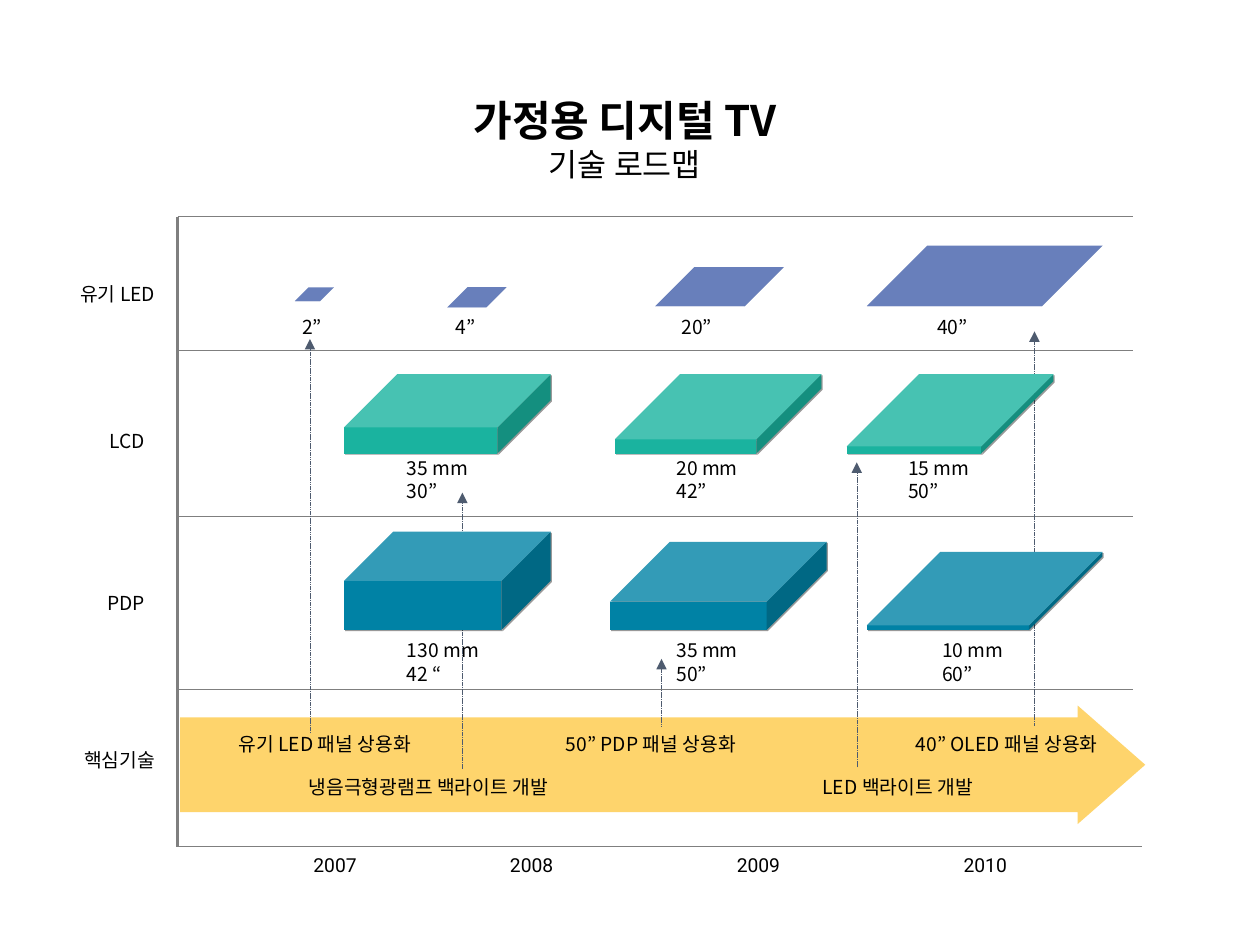
from dataclasses import dataclass
from lxml import etree
from pptx import Presentation
from pptx import util as u
from pptx.dml.color import RGBColor
from pptx.enum import dml, shapes, text
from pptx.oxml import ns


@dataclass(frozen=True)
class Theme:
    """Colours, fonts and type sizes of the roadmap."""
    ink: str = "000000"
    rule: str = "7F7F7F"
    link: str = "4E5B6F"
    oled: str = "435FAA"
    lcd: str = "1AB39F"
    pdp: str = "0082A5"
    band: str = "FED46C"
    font: str = "Noto Sans CJK KR"
    digits: str = "Roboto"
    title: int = 24
    subtitle: int = 18
    body: int = 11


@dataclass(frozen=True)
class Box:
    """A region in inches, able to hand out boxes placed relative to itself."""
    x: float
    y: float
    w: float
    h: float

    def inner(self, x, y, w, h):
        """Return a box offset from this one's top left corner."""
        return Box(self.x + x, self.y + y, w, h)

    def emu(self):
        """Return left, top, width and height as lengths."""
        return [u.Inches(v) for v in (self.x, self.y, self.w, self.h)]


T = Theme()
ALIGN = text.PP_ALIGN
LANE_EDGES = [1.72, 2.78, 4.1, 5.47, 6.72]
LEFT, WIDTH = 1.41, 7.58
YEARS = [("2007", 0.9), ("2008", 2.46), ("2009", 4.26), ("2010", 6.06)]
LABELS = [
    ("유기 LED", -1.1, 0.47, 1.02),
    ("LCD", -0.94, 0.58, 0.78),
    ("PDP", -0.86, 0.54, 0.7),
    ("핵심기술", -1.02, 0.42, 0.94),
]
CAPTIONS = [
    (0.73, 0.29, [(0.89, ["2”"]), (2.11, ["4”"]), (3.9, ["20”"]), (5.93, ["40”"])]),
    (0.79, 0.47, [(1.72, ["35 mm", "30”"]), (3.86, ["20 mm", "42”"]), (5.7, ["15 mm", "50”"])]),
    (0.92, 0.47, [(1.72, ["130 mm", "42 “"]), (3.86, ["35 mm", "50”"]), (5.97, ["10 mm", "60”"])]),
]
PANELS = [
    (T.oled, False, [(0.93, 0.56, 0.31, 0.11, 1), (2.14, 0.56, 0.47, 0.16, 1),
                     (3.79, 0.4, 1.02, 0.31, 1), (5.47, 0.23, 1.87, 0.48, 1)]),
    (T.lcd, True, [(1.32, 0.19, 1.64, 0.63, 0.67), (3.47, 0.19, 1.64, 0.63, 0.82),
                   (5.31, 0.19, 1.64, 0.63, 0.91)]),
    (T.pdp, True, [(1.32, 0.12, 1.64, 0.78, 0.5), (3.43, 0.2, 1.72, 0.7, 0.68),
                   (5.47, 0.28, 1.87, 0.62, 0.94)]),
]
MILESTONES = [
    ("유기 LED 패널 상용화", 0.15, 0.29, 1.8),
    ("50” PDP 패널 상용화", 2.81, 0.29, 1.72),
    ("40” OLED 패널 상용화", 5.52, 0.29, 1.88),
    ("냉음극형광램프 백라이트 개발", 0.23, 0.63, 2.81),
    ("LED 백라이트 개발", 4.53, 0.63, 1.88),
]
LINKS = [(1.05, 0.35, -2.78), (2.26, 0.63, -1.56), (3.84, 0.3, -0.24),
         (6.8, 0.29, -2.84), (5.39, 0.62, -1.8)]


def add_run(p, words, size, font=T.font, bold=False):
    """Append one formatted run to a paragraph."""
    r = p.add_run()
    r.text = words
    r.font.size, r.font.bold, r.font.name = u.Pt(size), bold, font
    r.font.color.rgb = RGBColor.from_string(T.ink)
    east = etree.SubElement(r.font._element, ns.qn("a:ea"))
    east.set("typeface", T.font)


def add_text(s, box, lines, align=ALIGN.LEFT, font=T.font):
    """Place a wrapped text box with one paragraph per line."""
    tf = s.shapes.add_textbox(*box.emu()).text_frame
    tf.word_wrap = True
    tf.auto_size = text.MSO_AUTO_SIZE.SHAPE_TO_FIT_TEXT
    for i, line in enumerate(lines):
        p = tf.add_paragraph() if i else tf.paragraphs[0]
        p.alignment = align
        add_run(p, line, T.body, font)


def add_shape(s, kind, box, color, adjustments):
    """Place a flat, borderless preset shape."""
    sp = s.shapes.add_shape(kind, *box.emu())
    sp.shadow.inherit = False
    sp.fill.solid()
    sp.fill.fore_color.rgb = RGBColor.from_string(color)
    sp.line.fill.background()
    for i, value in enumerate(adjustments):
        sp.adjustments[i] = value
    return sp


def add_line(s, x1, y1, x2, y2, color, weight):
    """Draw a straight connector without a shadow."""
    ends = [u.Inches(v) for v in (x1, y1, x2, y2)]
    line = s.shapes.add_connector(shapes.MSO_CONNECTOR.STRAIGHT, *ends)
    line.line.color.rgb = RGBColor.from_string(color)
    line.line.width = u.Pt(weight)
    etree.SubElement(line._element.spPr, ns.qn("a:effectLst"))
    return line


def add_heading(s, box):
    """Write the centred title and subtitle."""
    tf = s.shapes.add_textbox(*box.emu()).text_frame
    tf.word_wrap = True
    tf.auto_size = text.MSO_AUTO_SIZE.SHAPE_TO_FIT_TEXT
    p = tf.paragraphs[0]
    p.alignment = ALIGN.CENTER
    add_run(p, "가정용 디지털 TV", T.title, bold=True)
    p.add_line_break()
    add_run(p, "기술 로드맵", T.subtitle)


def add_frame(s, box, lanes):
    """Draw the axes, the lane rules and the year labels."""
    bottom, right = box.y + box.h, box.x + box.w
    add_line(s, box.x, bottom, right + 0.07, bottom, T.rule, 0.75)
    add_line(s, box.x, bottom, box.x, box.y, T.rule, 2)
    for lane in lanes:
        add_line(s, lane.x, lane.y, right, lane.y, T.rule, 0.75)
    for year, x in YEARS:
        add_text(s, box.inner(x, box.h, 0.7, 0.29), [year], ALIGN.CENTER, T.digits)


def add_label(s, lane, name, x, y, w):
    """Name a lane to the left of the axis."""
    add_text(s, lane.inner(x, y, w, 0.29), [name], ALIGN.RIGHT)


def add_captions(s, lane, y, h, captions):
    """Write the panel dimensions of a lane."""
    for x, lines in captions:
        add_text(s, lane.inner(x, y, 0.86, h), lines)


def add_panels(s, lane, color, shaded, panels):
    """Draw the panels of a lane as cubes."""
    for x, y, w, h, depth in panels:
        sp = add_shape(s, shapes.MSO_SHAPE.CUBE, lane.inner(x, y, w, h), color, [depth])
        if shaded:
            effects = sp._element.spPr.find(ns.qn("a:effectLst"))
            shadow = etree.SubElement(effects, ns.qn("a:outerShdw"), blurRad="0",
                                      dist=str(u.Pt(1)), dir="2700000", algn="tl", rotWithShape="0")
            black = etree.SubElement(shadow, ns.qn("a:srgbClr"), val=T.ink)
            etree.SubElement(black, ns.qn("a:alpha"), val="40000")


def add_core(s, lane):
    """Draw the core technology band, its milestones and their links upward."""
    add_shape(s, shapes.MSO_SHAPE.RIGHT_ARROW, lane.inner(0.02, 0.13, 7.66, 0.94), T.band, [0.8, 0.57])
    for words, x, y, w in MILESTONES:
        add_text(s, lane.inner(x, y, w, 0.29), [words], ALIGN.RIGHT)
    for x, start, end in LINKS:
        link = add_line(s, lane.x + x, lane.y + start, lane.x + x, lane.y + end, T.link, 0.25)
        link.line.dash_style = dml.MSO_LINE.SQUARE_DOT
        etree.SubElement(link._element.spPr.find(ns.qn("a:ln")), ns.qn("a:tailEnd"), type="triangle")


def main():
    """Build and save the roadmap slide."""
    prs = Presentation()
    prs.slide_width, prs.slide_height = u.Inches(10), u.Inches(7.5)
    s = prs.slides.add_slide(prs.slide_layouts[6])
    lanes = [Box(LEFT, a, WIDTH, b - a) for a, b in zip(LANE_EDGES, LANE_EDGES[1:])]
    add_heading(s, Box(1.95, 0.7, 6.02, 0.8))
    add_frame(s, Box(LEFT, LANE_EDGES[0], WIDTH, LANE_EDGES[-1] - LANE_EDGES[0]), lanes)
    for lane, label in zip(lanes, LABELS):
        add_label(s, lane, *label)
    for lane, captions in zip(lanes, CAPTIONS):
        add_captions(s, lane, *captions)
    add_core(s, lanes[-1])
    for lane, panels in zip(lanes, PANELS):
        add_panels(s, lane, *panels)
    prs.save("out.pptx")


if __name__ == "__main__":
    main()
